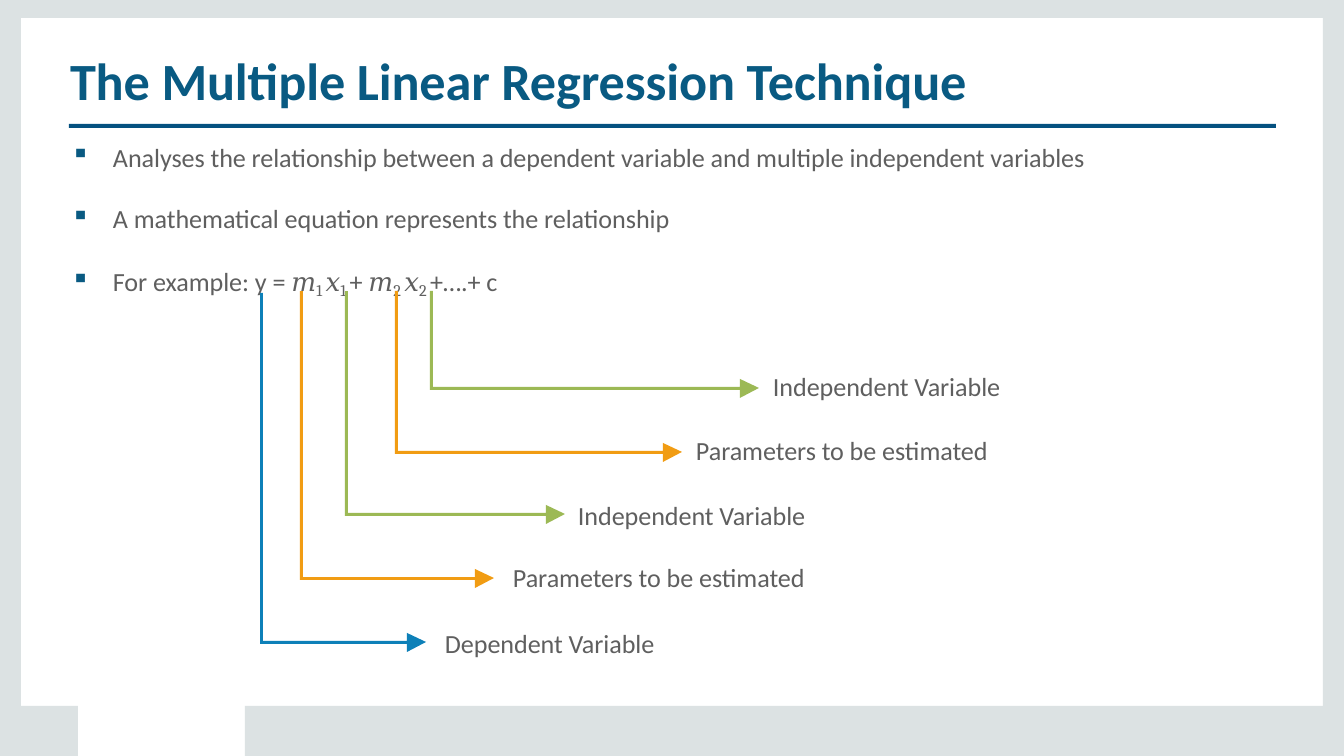
import pptx
import pptx.dml.color
import pptx.enum.shapes
import pptx.enum.text
import pptx.oxml
import pptx.util
from lxml import etree

RGB = pptx.dml.color.RGBColor
FRAME = RGB(0xDC, 0xE2, 0xE3)
TITLE = RGB(0x09, 0x5A, 0x82)
RULE = RGB(0x05, 0x51, 0x80)
BODY = RGB(0x5F, 0x5F, 0x5F)
BLUE = RGB(0x0D, 0x80, 0xB8)
ORANGE = RGB(0xF1, 0x9C, 0x13)
GREEN = RGB(0x9C, 0xB9, 0x55)

SCALE = 914400 / 134.4  # EMU in one px
DRAWING = "http://schemas.openxmlformats.org/drawingml/2006/main"


def px(length):
    return pptx.util.Emu(round(length * SCALE))


class Slide:
    font = "Calibri"
    math_font = "Cambria"
    size = 14

    def __init__(self, deck):
        self.page = deck.slides.add_slide(deck.slide_layouts[6])

    def paint(self, shape, color):
        shape.shadow.inherit = False
        shape.fill.solid()
        shape.fill.fore_color.rgb = color
        shape.line.fill.background()

    def bar(self, left, top, width, height, color):
        kind = pptx.enum.shapes.MSO_SHAPE.RECTANGLE
        shape = self.page.shapes.add_shape(
            kind, px(left), px(top), px(width), px(height))
        self.paint(shape, color)

    def elbow_arrow(self, x, top, y, tip, color):
        """Line of 3 px down from top, then right to a head at tip."""
        neck = tip - 19
        outline = [(x + 3, top), (x + 3, y - 1), (neck, y - 1), (neck, y - 9),
                   (tip, y), (neck, y + 10), (neck, y + 2), (x, y + 2)]
        builder = self.page.shapes.build_freeform(x, top, scale=SCALE)
        builder.add_line_segments(outline, close=True)
        self.paint(builder.convert_to_shape(), color)

    def style(self, span, color=BODY, size=None, bold=False):
        span.font.name = self.font
        span.font.size = pptx.util.Pt(size or self.size)
        span.font.bold = bold
        span.font.color.rgb = color
        span.font._element.set("spc", "-5")

    def text(self, left, top, width, height, words, **look):
        box = self.page.shapes.add_textbox(
            px(left), px(top), px(width), px(height))
        frame = box.text_frame
        frame.word_wrap = True
        frame.margin_left = frame.margin_right = frame.margin_bottom = 0
        frame.margin_top = px(1)
        frame.text = words
        for para in frame.paragraphs:
            para.space_before = pptx.util.Pt(1)
            for span in para.runs:
                self.style(span, **look)
        return frame

    def bullet(self, para):
        props = para._p.get_or_add_pPr()
        props.set("marL", str(px(43)))
        props.set("indent", str(-px(42)))
        color = etree.SubElement(props, f"{{{DRAWING}}}buClr")
        etree.SubElement(color, f"{{{DRAWING}}}srgbClr", val=str(TITLE))
        etree.SubElement(props, f"{{{DRAWING}}}buChar", char="▪")

    def term(self, para, symbol, index):
        """Math symbol followed by its subscript."""
        for words, size, base in ((symbol, self.size, 0), (index, 15, -17000)):
            span = para.add_run()
            span.text = words
            self.style(span, size=size)
            span.font.name = self.math_font
            if base:
                span.font._element.set("baseline", str(base))

    def plain(self, para, words):
        span = para.add_run()
        span.text = words
        self.style(span)


def main():
    deck = pptx.Presentation()
    deck.slide_width, deck.slide_height = px(1344), px(756)
    slide = Slide(deck)

    # Frame around the page
    for area in ((1323, 18, 21, 688), (0, 18, 21, 688), (245, 706, 1099, 50),
                 (0, 706, 78, 50), (0, 0, 1344, 18)):
        slide.bar(*area, FRAME)

    # Title and rule
    slide.bar(69, 124, 1207, 4, RULE)
    slide.text(70, 47, 911, 66, "The Multiple Linear Regression Technique",
               color=TITLE, size=28, bold=True)

    # Bullets, the last one with the equation
    bullets = slide.text(
        70, 140, 1030, 156,
        "Analyses the relationship between a dependent variable and "
        "multiple independent variables\n"
        "A mathematical equation represents the relationship\n"
        "For example: y = ")
    for para in bullets.paragraphs:
        slide.bullet(para)
    for para in bullets.paragraphs[1:]:
        para.space_before = pptx.util.Pt(16)
    equation = bullets.paragraphs[-1]
    for index, link in (("1 ", "+ "), ("2 ", "+….+ c")):
        slide.term(equation, "𝑚", index)
        slide.term(equation, "𝑥", index)
        slide.plain(equation, link)

    # Arrows from the equation to what each part means
    dependent = "Dependent Variable"
    independent = "Independent Variable"
    parameter = "Parameters to be estimated"
    callouts = (  # line x, top, arrow y, tip x, colour, label x, label y, label
        (260, 293, 642, 426, BLUE, 445, 645, dependent),
        (300, 291, 578, 494, ORANGE, 513, 579, parameter),
        (395, 291, 452, 682, ORANGE, 696, 452, parameter),
        (345, 291, 514, 565, GREEN, 578, 517, independent),
        (430, 291, 388, 759, GREEN, 773, 388, independent),
    )
    for x, top, y, tip, color, label_x, label_y, label in callouts:
        slide.elbow_arrow(x, top, y, tip, color)
        slide.text(label_x, label_y - 19, 300, 35, label)

    deck.save("out.pptx")


if __name__ == "__main__":
    main()
